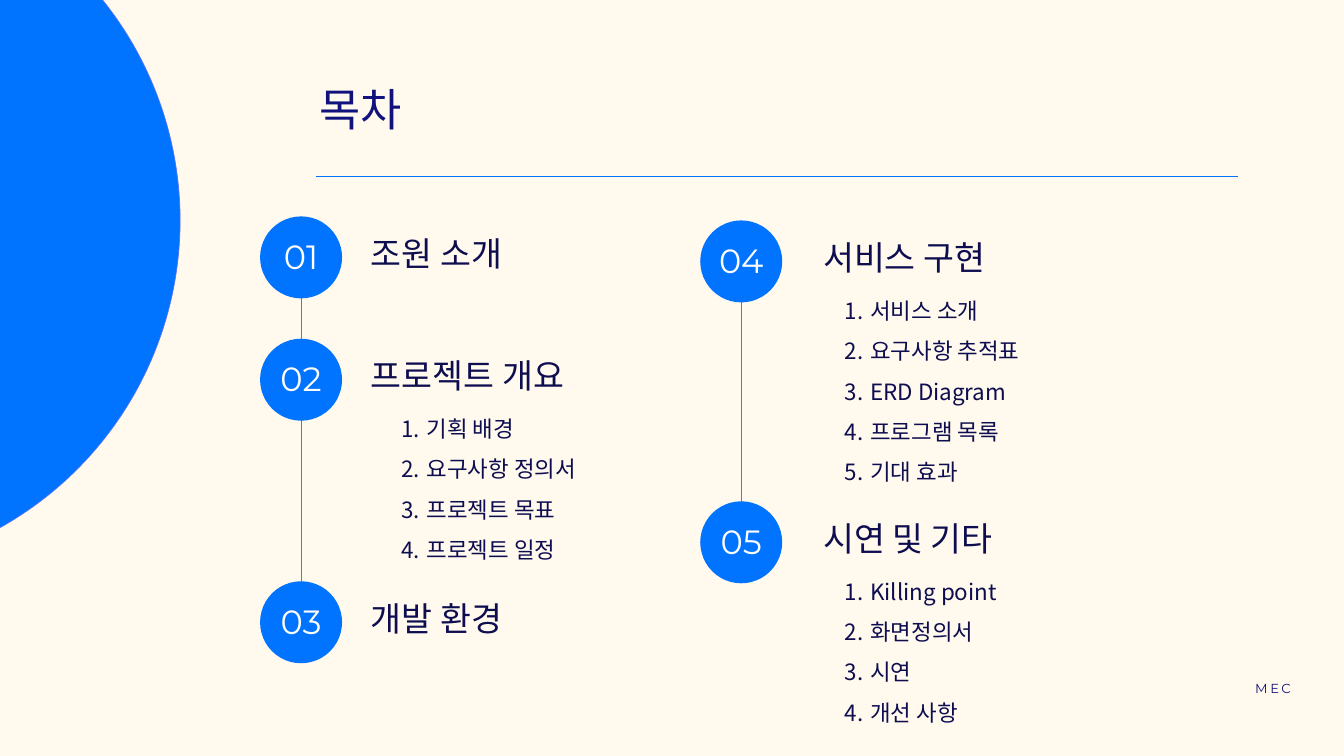
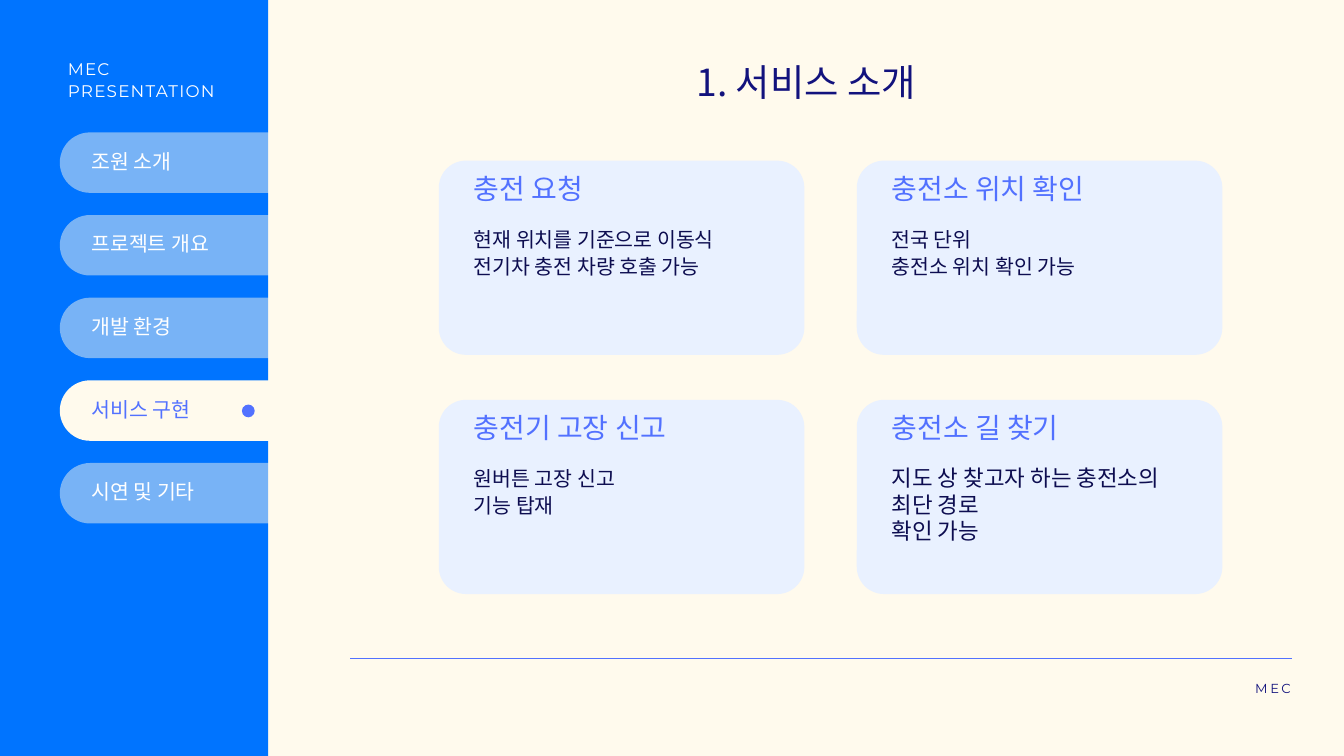
import pptx
import pptx.dml.color
import pptx.enum.shapes
import pptx.enum.text
import pptx.oxml.ns
import pptx.util
from lxml import etree

RGBColor = pptx.dml.color.RGBColor
Pt = pptx.util.Pt
SHAPES = pptx.enum.shapes.MSO_SHAPE
ALIGN = pptx.enum.text.PP_ALIGN
qn = pptx.oxml.ns.qn

COLUMNS, ROWS = 20, 11.25
CELL = pptx.util.Inches(1)

CREAM = RGBColor(0xFF, 0xFA, 0xED)
BLUE = RGBColor(0x00, 0x74, 0xFF)
PERIWINKLE = RGBColor(0x52, 0x71, 0xFF)
PALE_BLUE = RGBColor(0xE9, 0xF1, 0xFF)
NAVY = RGBColor(0x12, 0x12, 0x7D)
INK = RGBColor(0x0D, 0x0D, 0x50)
WHITE = RGBColor(0xFF, 0xFF, 0xFF)

KOREAN = "Noto Sans CJK KR"
LATIN = "Calibri"
DISPLAY = "Montserrat"


def text_style(name, size, color, line_spacing, alignment=ALIGN.LEFT, tracking=0):
    spacing = line_spacing if line_spacing < 5 else Pt(line_spacing)
    return {
        "font": {"name": name, "size": Pt(size)},
        "color": color,
        "paragraph": {"line_spacing": spacing, "alignment": alignment,
                      "space_before": Pt(0)},
        "tracking": tracking,
    }


CONTENTS_TITLE = text_style(LATIN, 48, NAVY, 28.8)
TOPIC_TITLE = text_style(KOREAN, 40, NAVY, 48, ALIGN.CENTER)
FOOTER = text_style(DISPLAY, 14, NAVY, 16.8, ALIGN.RIGHT, 2.7)
BRANDING = text_style(DISPLAY, 18, WHITE, 23, tracking=1.3)
NUMBER = text_style(DISPLAY, 36, WHITE, 27.2, ALIGN.CENTER)
SECTION = text_style(LATIN, 36, INK, 33.6)
ITEM = text_style(KOREAN, 24, INK, 1.5)
TAB = text_style(LATIN, 22, WHITE, 21.6)
ACTIVE_TAB = text_style(LATIN, 22, PERIWINKLE, 21.6)
CARD_HEADING = text_style(KOREAN, 30, PERIWINKLE, 19.2)
CARD_BODY = text_style(LATIN, 22, INK, 28.6)
CARD_BODY_KOREAN = text_style(KOREAN, 22, INK, 28.6)
CARD_BODY_LARGE = text_style(LATIN, 24, INK, 28.6)

# Each column: circle left, heading left, list left, sections (number, top, heading, items)
CONTENTS = [
    (3.87, 5.52, 5.97, [
        ("01", 3.22, "조원 소개", []),
        ("02", 5.04, "프로젝트 개요",
         ["기획 배경", "요구사항 정의서", "프로젝트 목표", "프로젝트 일정"]),
        ("03", 8.65, "개발 환경", []),
    ]),
    (10.42, 12.25, 12.57, [
        ("04", 3.28, "서비스 구현",
         ["서비스 소개", "요구사항 추적표", "ERD Diagram", "프로그램 목록", "기대 효과"]),
        ("05", 7.46, "시연 및 기타",
         ["Killing point", "화면정의서", "시연", "개선 사항"]),
    ]),
]
CIRCLE = 1.22

TABS = ["조원 소개", "프로젝트 개요", "개발 환경", "서비스 구현", "시연 및 기타"]
CARDS = [
    ("충전 요청", ["현재 위치를 기준으로 이동식 전기차 충전 차량 호출 가능"], CARD_BODY),
    ("충전소 위치 확인", ["전국 단위", "충전소 위치 확인 가능"], CARD_BODY),
    ("충전기 고장 신고", ["원버튼 고장 신고", "기능 탑재"], CARD_BODY_KOREAN),
    ("충전소 길 찾기", ["지도 상 찾고자 하는 충전소의 최단 경로", "확인 가능"], CARD_BODY_LARGE),
]


def grid(*cells):
    """Turn grid columns and rows into lengths."""
    return [int(cell * CELL) for cell in cells]


def set_all(target, values):
    for name, value in values.items():
        setattr(target, name, value)


class Deck:
    """Holds the shared style and the slide being built."""

    def __init__(self):
        self.presentation = pptx.Presentation()
        width, height = grid(COLUMNS, ROWS)
        set_all(self.presentation, {"slide_width": width, "slide_height": height})
        background = self.presentation.slide_master.background.fill
        background.solid()
        background.fore_color.rgb = CREAM
        self.slide = None

    def new_slide(self, title, box, style):
        layout = self.presentation.slide_layouts.get_by_name("Title Only")
        self.slide = self.presentation.slides.add_slide(layout)
        placeholder = self.slide.shapes.title
        set_all(placeholder, dict(zip(("left", "top", "width", "height"), grid(*box))))
        self.fill_text(placeholder.text_frame, [title], style)
        self.text(["MEC"], (15.84, 10.12, 3.37, 0.22), FOOTER)

    def fill_text(self, frame, lines, style, numbered=False):
        set_all(frame, {
            "margin_left": 0, "margin_top": 0, "margin_right": 0, "margin_bottom": 0,
            "word_wrap": True,
            "vertical_anchor": pptx.enum.text.MSO_ANCHOR.TOP,
            "auto_size": pptx.enum.text.MSO_AUTO_SIZE.SHAPE_TO_FIT_TEXT,
        })
        for index, line in enumerate(lines):
            paragraph = frame.add_paragraph() if index else frame.paragraphs[0]
            if numbered:
                self.number(paragraph)
            set_all(paragraph, style["paragraph"])
            run = paragraph.add_run()
            run.text = line
            set_all(run.font, style["font"])
            run.font.color.rgb = style["color"]
            properties = run._r.get_or_add_rPr()
            etree.SubElement(properties, qn("a:ea")).set("typeface", KOREAN)
            if style["tracking"]:
                properties.set("spc", str(round(style["tracking"] * 100)))

    def number(self, paragraph):
        properties = paragraph._p.get_or_add_pPr()
        (indent,) = grid(0.38)
        properties.set("marL", str(indent))
        properties.set("indent", str(-indent))
        etree.SubElement(properties, qn("a:buAutoNum")).set("type", "arabicPeriod")

    def text(self, lines, box, style, numbered=False):
        frame = self.slide.shapes.add_textbox(*grid(*box)).text_frame
        self.fill_text(frame, lines, style, numbered)

    def shape(self, kind, box, color, outline=None, rounding=None, opacity=None):
        shape = self.slide.shapes.add_shape(kind, *grid(*box))
        shape.shadow.inherit = False
        shape.fill.solid()
        shape.fill.fore_color.rgb = color
        if outline is None:
            shape.line.fill.background()
        else:
            shape.line.color.rgb = outline
            shape.line.width = Pt(0.75)
        if rounding is not None:
            shape.adjustments[0] = rounding
        if opacity is not None:
            fill_color = shape._element.spPr.find(".//" + qn("a:srgbClr"))
            etree.SubElement(fill_color, qn("a:alpha")).set("val", str(opacity * 1000))

    def line(self, start, end, color):
        connector = self.slide.shapes.add_connector(
            pptx.enum.shapes.MSO_CONNECTOR.STRAIGHT, *grid(*start, *end))
        connector.line.color.rgb = color
        connector.line.width = Pt(0.75)
        etree.SubElement(connector._element.spPr, qn("a:effectLst"))


def build_contents(deck):
    deck.new_slide("목차", (4.75, 1.62, 3.44, 0.49), CONTENTS_TITLE)
    deck.line((4.7, 2.62), (18.43, 2.62), BLUE)
    deck.shape(SHAPES.OVAL, (-7.8, -1.96, 10.48, 10.48), BLUE, outline=PERIWINKLE)
    for circle_left, heading_left, list_left, sections in CONTENTS:
        center = circle_left + CIRCLE / 2
        for upper, lower in zip(sections, sections[1:]):
            deck.line((center, upper[1] + CIRCLE / 2),
                      (center, lower[1] + CIRCLE / 2), PERIWINKLE)
        for number, top, heading, items in sections:
            deck.shape(SHAPES.OVAL, (circle_left, top, CIRCLE, CIRCLE), BLUE)
            deck.text([number], (circle_left, top + 0.51, CIRCLE, 0.38), NUMBER)
            deck.text([heading], (heading_left, top + 0.38, 3.13, 0.48), SECTION)
            if items:
                deck.text(items, (list_left, top + 0.94, 3.5, 0.6 * len(items)),
                          ITEM, numbered=True)


def build_sidebar(deck, active):
    deck.shape(SHAPES.RECTANGLE, (0, 0, 3.99, ROWS), BLUE)
    deck.text(["MEC PRESENTATION"], (1.01, 0.86, 2.24, 0.65), BRANDING)
    left, first_top, step, height = 0.89, 1.97, 1.23, 0.9
    for index, label in enumerate(TABS):
        top = first_top + index * step
        is_active = label == active
        deck.shape(SHAPES.ROUNDED_RECTANGLE, (left, top, 3.56, height), CREAM,
                   rounding=0.5, opacity=None if is_active else 47)
        deck.text([label], (left + 0.47, top + 0.31, 2.55, 0.31),
                  ACTIVE_TAB if is_active else TAB)
        if is_active:
            deck.shape(SHAPES.OVAL, (3.6, top + 0.36, 0.19, 0.19), PERIWINKLE)


def build_service(deck):
    deck.new_slide("1. 서비스 소개", (7.5, 0.88, 8.99, 0.67), TOPIC_TITLE)
    deck.line((5.21, 9.8), (19.23, 9.8), PERIWINKLE)
    build_sidebar(deck, "서비스 구현")
    for index, (heading, body, style) in enumerate(CARDS):
        row, column = divmod(index, 2)
        left, top = 6.53 + 6.22 * column, 2.39 + 3.56 * row
        deck.shape(SHAPES.ROUNDED_RECTANGLE, (left, top, 5.44, 2.89), PALE_BLUE,
                   rounding=0.14)
        deck.text([heading], (left + 0.52, top + 0.4, 3.78, 0.3), CARD_HEADING)
        deck.text(body, (left + 0.52, top + 0.96, 4.34, 0.81), style)


def main():
    deck = Deck()
    build_contents(deck)
    build_service(deck)
    deck.presentation.save("out.pptx")


if __name__ == "__main__":
    main()
